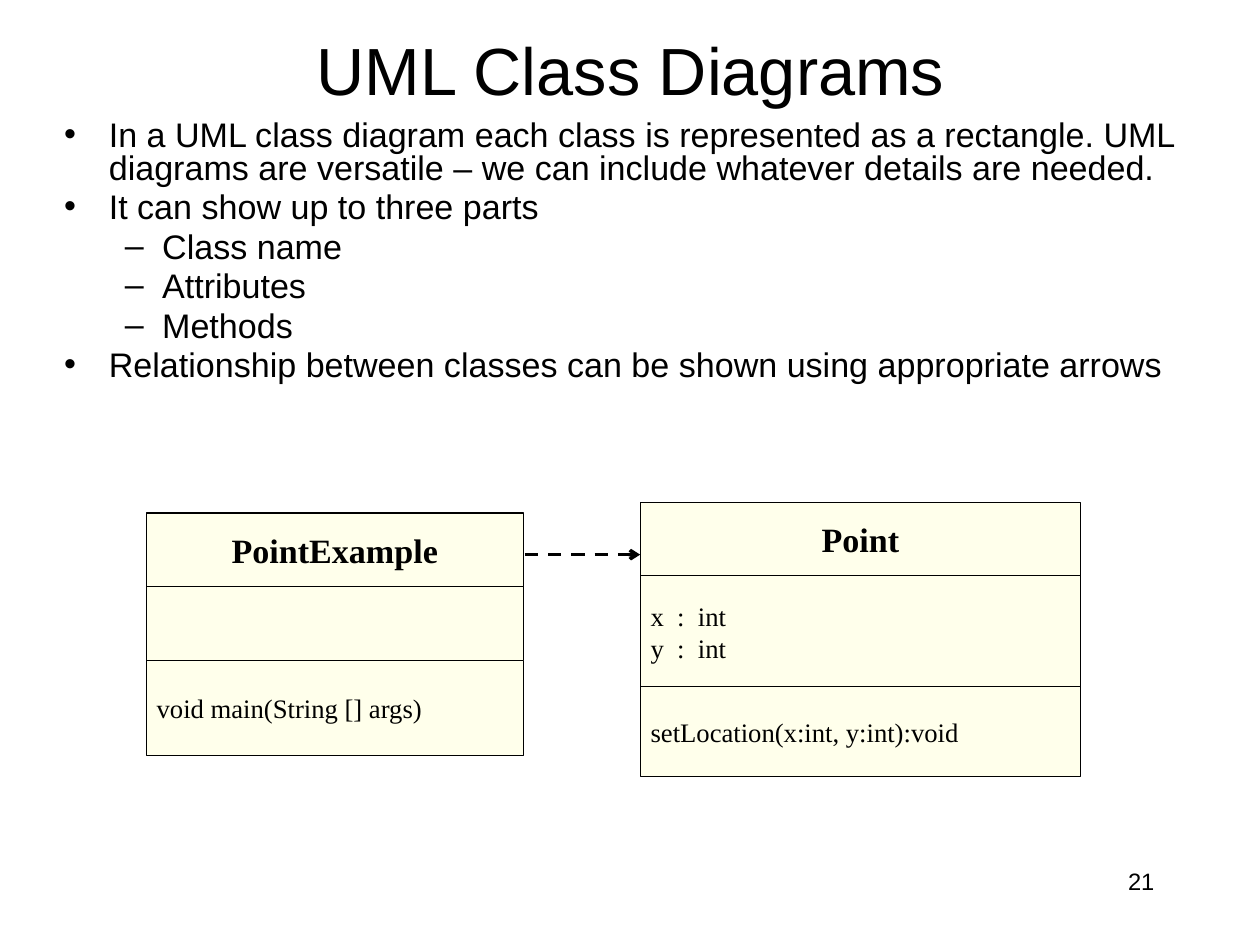
import pptx
import pptx.util
import pptx.dml.color
import pptx.enum.dml
import pptx.enum.shapes
import pptx.enum.text
import pptx.oxml
import pptx.oxml.ns

Inches, Pt = pptx.util.Inches, pptx.util.Pt
ALIGN = pptx.enum.text.PP_ALIGN
ANCHOR = pptx.enum.text.MSO_ANCHOR
BLACK = pptx.dml.color.RGBColor(0x00, 0x00, 0x00)
CREAM = pptx.dml.color.RGBColor(0xFF, 0xFF, 0xEB)


def style(paragraph, size, name="Arial", bold=False, align=ALIGN.LEFT):
    paragraph.alignment = align
    paragraph.font.size = Pt(size)
    paragraph.font.name = name
    paragraph.font.bold = bold
    paragraph.font.color.rgb = BLACK


def set_frame(shape, anchor):
    frame = shape.text_frame
    frame.auto_size = pptx.enum.text.MSO_AUTO_SIZE.NONE
    frame.word_wrap = True
    frame.vertical_anchor = anchor
    frame.margin_left = frame.margin_right = Inches(0.11)
    frame.margin_top = frame.margin_bottom = Inches(0.06)
    return frame


presentation = pptx.Presentation()
presentation.slide_width = Inches(11.81)
presentation.slide_height = Inches(8.86)
slide = presentation.slides.add_slide(presentation.slide_layouts[1])

# Title
title = slide.shapes.title
title.left, title.top = Inches(0.89), Inches(0.2)
title.width, title.height = Inches(10.04), Inches(0.89)
frame = set_frame(title, ANCHOR.MIDDLE)
frame.text = "UML Class Diagrams"
style(frame.paragraphs[0], 45, align=ALIGN.CENTER)

# Bullet list
bullets = [
    (0, "In a UML class diagram each class is represented as a rectangle. "
        "UML diagrams are versatile – we can include whatever details are needed."),
    (0, "It can show up to three parts"),
    (1, "Class name"),
    (1, "Attributes"),
    (1, "Methods"),
    (0, "Relationship between classes can be shown using appropriate arrows"),
]
levels = [(0.42, -0.42, "•"), (0.92, -0.35, "–")]  # margin, indent, bullet
body = slide.placeholders[1]
body.left, body.top = Inches(0.49), Inches(1.08)
body.width, body.height = Inches(10.83), Inches(3.84)
frame = set_frame(body, ANCHOR.TOP)
frame.text = "\n".join(text for level, text in bullets)
for paragraph, (level, text) in zip(frame.paragraphs, bullets):
    style(paragraph, 23)
    paragraph.level = level
    paragraph.line_spacing = 0.8
    paragraph.space_before = Pt(4.6)
    margin, indent, character = levels[level]
    properties = paragraph._p.get_or_add_pPr()
    properties.set("marL", str(Inches(margin)))
    properties.set("indent", str(Inches(indent)))
    bullet = pptx.oxml.parse_xml(
        f'<a:buChar {pptx.oxml.ns.nsdecls("a")} char="{character}"/>')
    properties.append(bullet)

# Class boxes: left, top, width, then height and text of each part
classes = [
    (6, 4.71, 4.13, [(0.69, "Point"),
                     (1.04, "x  :  int\ny  :  int"),
                     (0.84, "setLocation(x:int, y:int):void")]),
    (1.37, 4.81, 3.54, [(0.69, "PointExample"),
                        (0.69, ""),
                        (0.89, "void main(String [] args)")]),
]
for left, top, width, parts in classes:
    group = slide.shapes.add_group_shape()
    for index, (height, text) in enumerate(parts):
        box = group.shapes.add_shape(
            pptx.enum.shapes.MSO_SHAPE.RECTANGLE,
            Inches(left), Inches(top), Inches(width), Inches(height))
        top += height
        box.shadow.inherit = False
        box.fill.solid()
        box.fill.fore_color.rgb = CREAM
        box.line.color.rgb = BLACK
        box.line.width = Pt(0.75)
        if text:
            frame = set_frame(box, ANCHOR.MIDDLE)
            frame.margin_left = frame.margin_right = Inches(0.1)
            frame.text = text
            is_name = index == 0
            for paragraph in frame.paragraphs:
                style(paragraph, 23 if is_name else 18, "Times New Roman", is_name,
                      ALIGN.CENTER if is_name else ALIGN.LEFT)

# Dependency arrow
arrow = slide.shapes.add_connector(
    pptx.enum.shapes.MSO_CONNECTOR.STRAIGHT,
    Inches(4.92), Inches(5.2), Inches(6), Inches(5.2))
arrow.line.color.rgb = BLACK
arrow.line.width = Pt(2.25)
arrow.line.dash_style = pptx.enum.dml.MSO_LINE.DASH
for parent, tag in [(arrow.line._get_or_add_ln(), 'tailEnd type="arrow"'),
                    (arrow._element.spPr, "effectLst")]:
    name, _, attributes = tag.partition(" ")
    parent.append(pptx.oxml.parse_xml(
        f'<a:{name} {pptx.oxml.ns.nsdecls("a")} {attributes}/>'))

# Page number
number = slide.shapes.add_textbox(
    Inches(8.47), Inches(8.07), Inches(2.46), Inches(0.59))
frame = set_frame(number, ANCHOR.TOP)
frame.text = "21"
style(frame.paragraphs[0], 16, align=ALIGN.RIGHT)

presentation.save("out.pptx")
